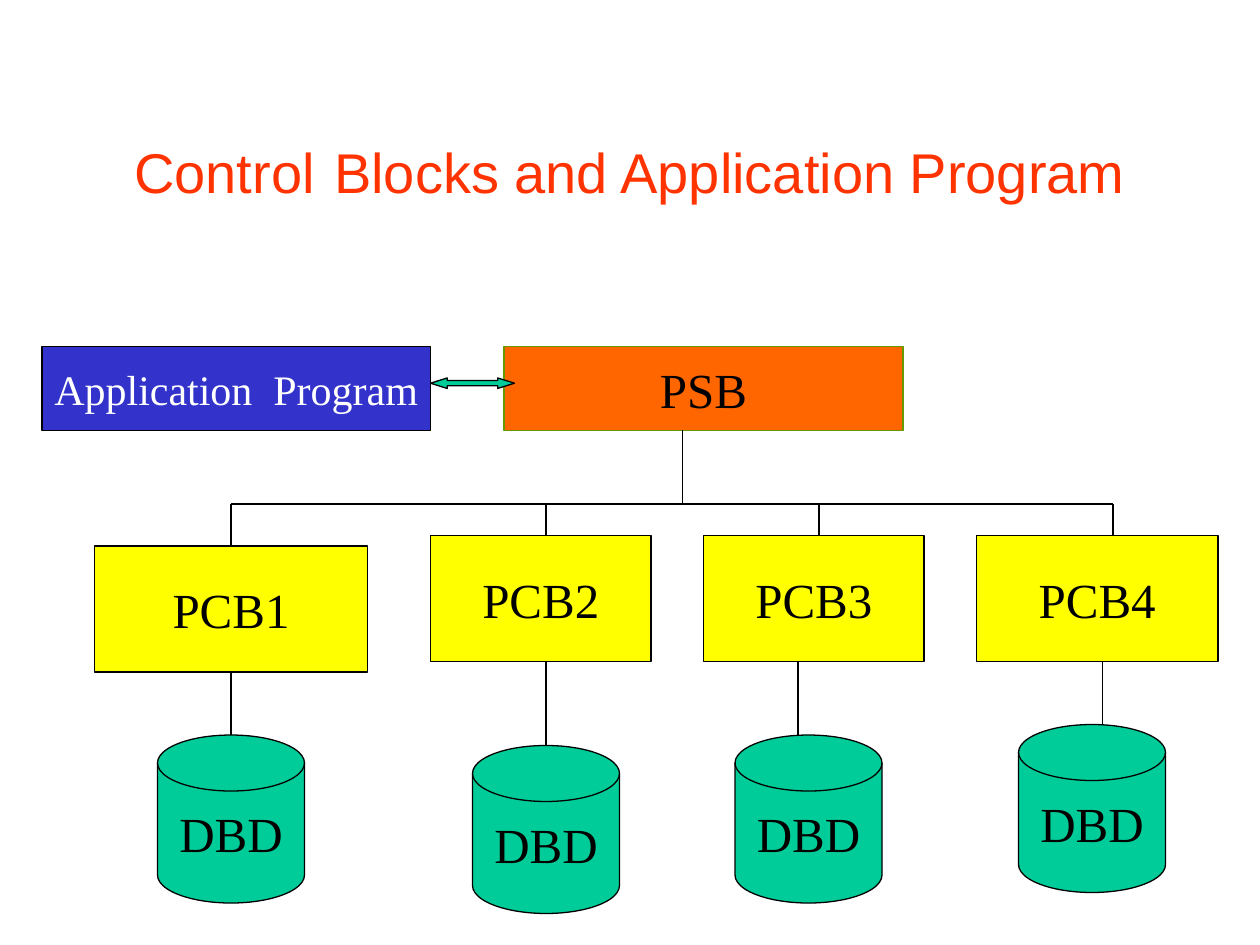
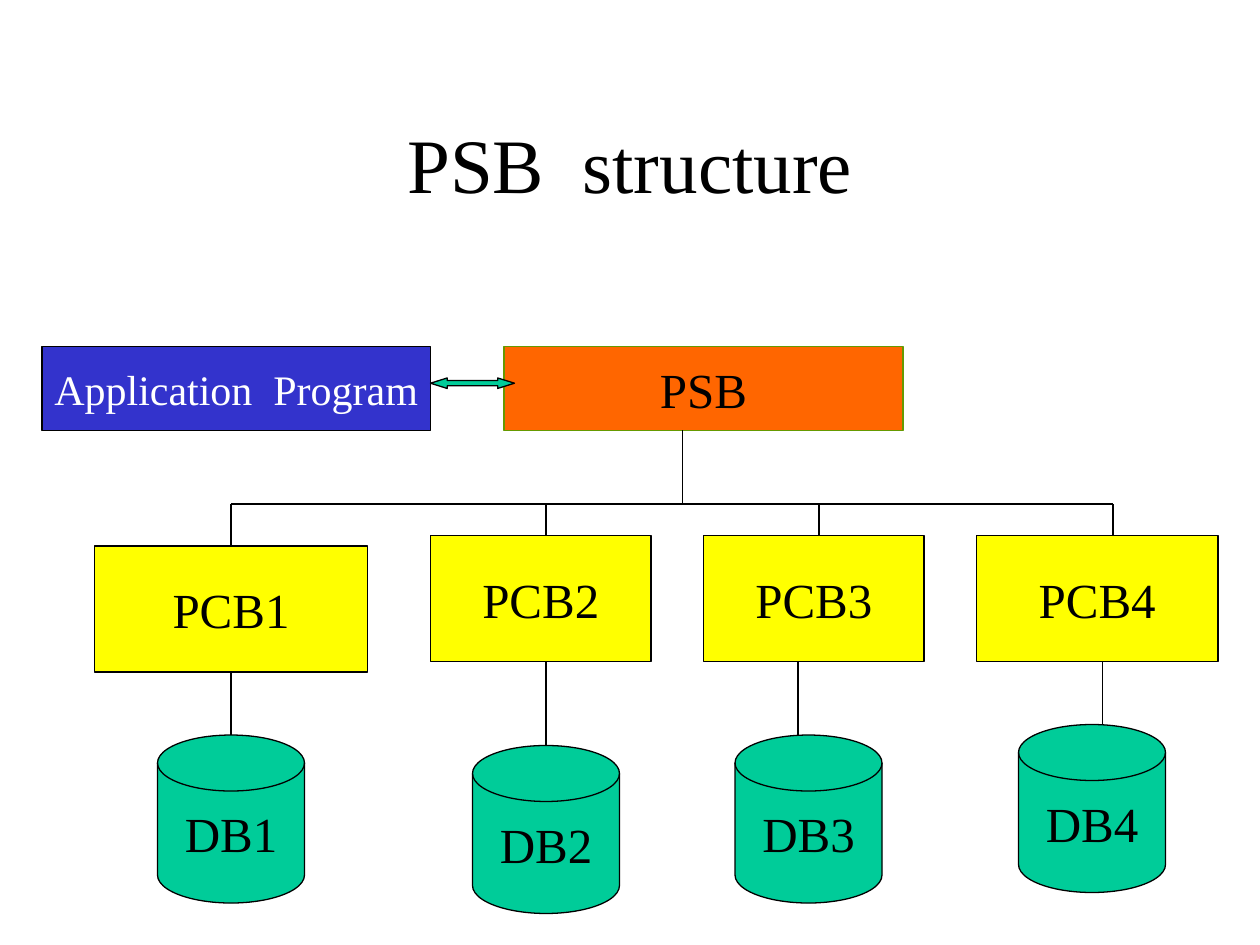
import dataclasses
import typing

import lxml.etree
import pptx
import pptx.dml.color
import pptx.enum.shapes
import pptx.enum.text
import pptx.oxml.ns
import pptx.util

PX = 9525
SHAPE = pptx.enum.shapes.MSO_SHAPE
TOP, BOTTOM = 0, 2
SERIF, SANS = "Times New Roman", "Arial"
COLORS = {
    "black": "000000",
    "white": "FFFFFF",
    "title": "FF3300",
    "psb": "FF6600",
    "psb_line": "669900",
    "pcb": "FFFF00",
    "database": "00CC99",
    "program": "3333CC",
}


@dataclasses.dataclass(frozen=True)
class Span:
    text: str
    size: int = 28
    font: str = SERIF
    color: str = "black"


@dataclasses.dataclass(frozen=True)
class Block:
    x: int
    y: int
    w: int
    h: int
    fill: str
    label: typing.Optional[Span] = None
    kind: SHAPE = SHAPE.RECTANGLE
    line: str = "black"


@dataclasses.dataclass(frozen=True)
class Branch:
    pcb_x: int
    pcb_y: int
    pcb_w: int
    drop_x: int
    link_x: int
    disk_x: int
    disk_y: int


@dataclasses.dataclass(frozen=True)
class Page:
    title: tuple[Span, ...]
    databases: tuple[str, ...]


TITLE_BOX = (72, 64, 816, 120)
PSB = Block(384, 264, 304, 64, "psb", Span("PSB"), line="psb_line")
PROGRAM = Block(32, 264, 296, 64, "program", Span("Application  Program", 24, color="white"))
EXCHANGE = Block(328, 288, 64, 8, "database", kind=SHAPE.LEFT_RIGHT_ARROW)
TRUNK_X, BUS_Y = 520, 384
PCB_H, DISK_W, DISK_H = 96, 112, 128
BRANCHES = (
    Branch(72, 416, 208, 176, 176, 120, 560),
    Branch(328, 408, 168, 416, 416, 360, 568),
    Branch(536, 408, 168, 624, 608, 560, 560),
    Branch(744, 408, 184, 848, 840, 776, 552),
)
PAGES = (
    Page(
        (
            Span("Control", 32, SANS, "title"),
            Span(" ", 44),
            Span("Blocks and Application Program", 32, SANS, "title"),
        ),
        ("DBD",) * 4,
    ),
    Page((Span("PSB  structure", 44),), ("DB1", "DB2", "DB3", "DB4")),
)


def rgb(name: str) -> pptx.dml.color.RGBColor:
    """Return the named colour."""
    return pptx.dml.color.RGBColor.from_string(COLORS[name])


def px(*lengths: int) -> list[pptx.util.Emu]:
    """Turn pixels into EMU."""
    return [pptx.util.Emu(n * PX) for n in lengths]


def write(tf, spans: tuple[Span, ...], wrap: bool) -> None:
    """Fill a text frame with one centred paragraph."""
    tf.word_wrap = wrap
    tf.vertical_anchor = pptx.enum.text.MSO_ANCHOR.MIDDLE
    p = tf.paragraphs[0]
    p.alignment = pptx.enum.text.PP_ALIGN.CENTER
    for span in spans:
        r = p.add_run()
        r.text = span.text
        font = p.font if len(spans) == 1 else r.font
        font.size = pptx.util.Pt(span.size)
        font.name = span.font
        font.color.rgb = rgb(span.color)


def add_block(s, block: Block):
    """Draw a filled, outlined shape with its label."""
    sp = s.shapes.add_shape(block.kind, *px(block.x, block.y, block.w, block.h))
    sp.shadow.inherit = False
    sp.fill.solid()
    sp.fill.fore_color.rgb = rgb(block.fill)
    sp.line.color.rgb = rgb(block.line)
    sp.line.width = pptx.util.Pt(0.75)
    if block.label:
        write(sp.text_frame, (block.label,), wrap=False)
    return sp


def add_line(s, x1: int, y1: int, x2: int, y2: int):
    """Draw a thin black line."""
    line = s.shapes.add_connector(
        pptx.enum.shapes.MSO_CONNECTOR.STRAIGHT, *px(x1, y1, x2, y2)
    )
    line.line.color.rgb = rgb("black")
    line.line.width = pptx.util.Pt(0.75)
    lxml.etree.SubElement(line._element.spPr, pptx.oxml.ns.qn("a:effectLst"))
    return line


def add_branch(s, branch: Branch, number: int, database: str) -> None:
    """Draw a PCB with its database and both lines."""
    b = branch
    pcb = add_block(s, Block(b.pcb_x, b.pcb_y, b.pcb_w, PCB_H, "pcb", Span(f"PCB{number}")))
    add_block(
        s,
        Block(b.disk_x, b.disk_y, DISK_W, DISK_H, "database", Span(database),
              SHAPE.FLOWCHART_MAGNETIC_DISK),
    )
    drop = add_line(s, b.drop_x, BUS_Y, b.drop_x, b.pcb_y)
    link = add_line(s, b.link_x, b.pcb_y + PCB_H, b.link_x, b.disk_y)
    middle = b.pcb_x + b.pcb_w // 2
    if b.drop_x == middle:
        drop.end_connect(pcb, TOP)
    if b.link_x == middle:
        link.begin_connect(pcb, BOTTOM)


def add_page(prs, page: Page) -> None:
    """Draw one slide with its title and diagram."""
    s = prs.slides.add_slide(prs.slide_layouts[6])
    write(s.shapes.add_textbox(*px(*TITLE_BOX)).text_frame, page.title, wrap=True)
    add_block(s, PSB)
    add_line(s, TRUNK_X, PSB.y + PSB.h, TRUNK_X, BUS_Y)
    add_line(s, BRANCHES[0].drop_x, BUS_Y, BRANCHES[-1].drop_x, BUS_Y)
    for number, (branch, database) in enumerate(zip(BRANCHES, page.databases), 1):
        add_branch(s, branch, number, database)
    add_block(s, PROGRAM)
    arrow = add_block(s, EXCHANGE)
    arrow.adjustments[1] = 1.59


def main() -> None:
    """Build and save the presentation."""
    prs = pptx.Presentation()
    prs.slide_width, prs.slide_height = px(960, 720)
    for page in PAGES:
        add_page(prs, page)
    prs.save("out.pptx")


if __name__ == "__main__":
    main()
